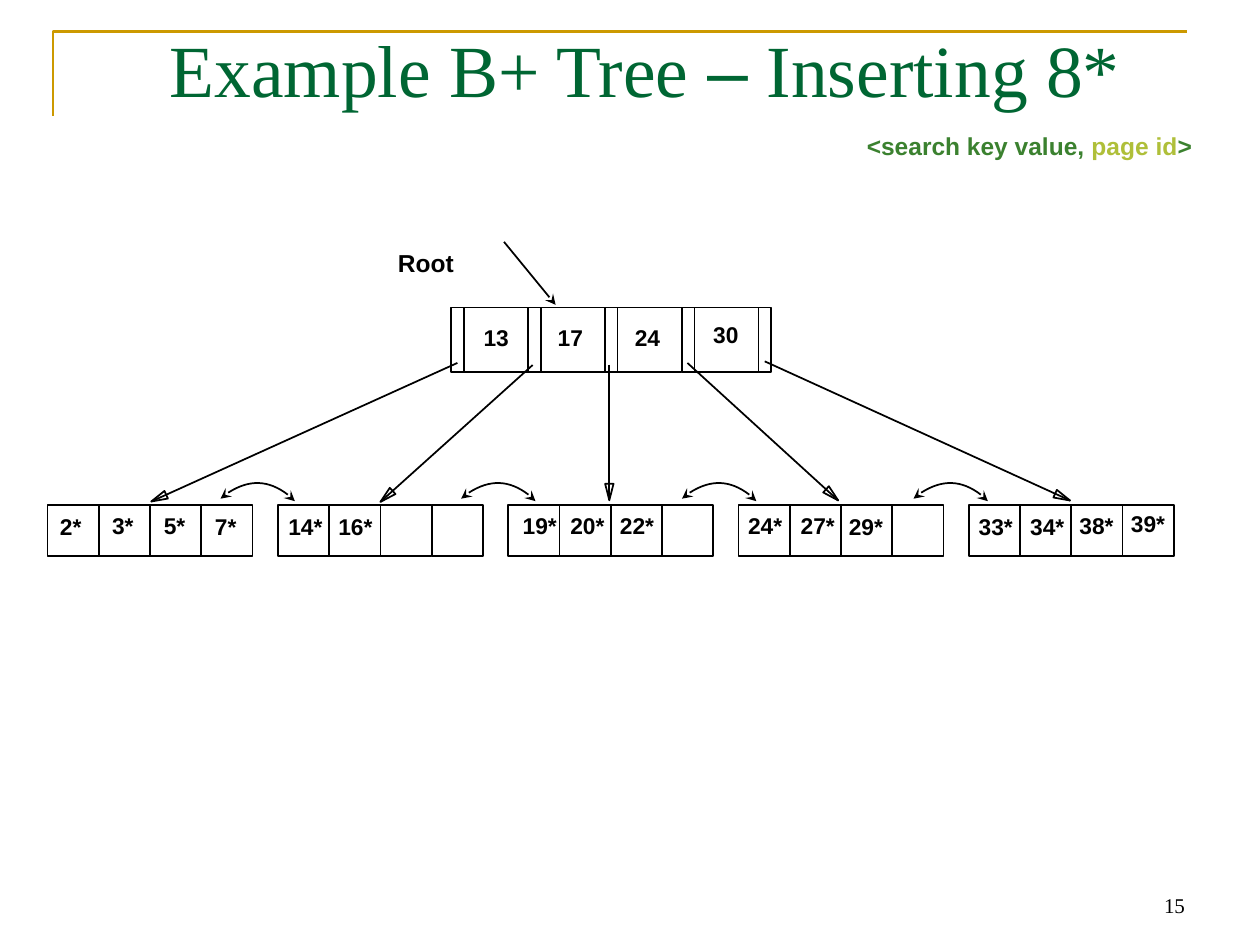
import math
from lxml import etree
from pptx import Presentation
from pptx import util as u
from pptx.dml import color
from pptx.enum import shapes, text
from pptx.oxml import ns

Pt = u.Pt
HUE = {"gold": "CC9900", "title": "006633", "key": "3B812F",
       "page": "AFBF39", "ink": "000000"}

deck = Presentation()
deck.slide_width, deck.slide_height = Pt(720), Pt(540)
slide = deck.slides.add_slide(deck.slide_layouts[6])
items = slide.shapes


def style(shape, hue="ink", width=1, heads=()):
    """Set a plain outline without shadow; heads names headEnd or tailEnd."""
    shape.line.color.rgb = color.RGBColor.from_string(HUE[hue])
    shape.line.width = Pt(width)
    if hasattr(shape, "fill"):
        shape.fill.background()
        shape.shadow.inherit = False
    else:
        etree.SubElement(shape._element.spPr, ns.qn("a:effectLst"))
    for head in heads:
        etree.SubElement(shape.line._get_or_add_ln(), ns.qn("a:" + head),
                         type="stealth")
    return shape


def label(box, runs, size, font="Arial", bold=True, wrap=False,
          align=text.PP_ALIGN.LEFT, anchor=text.MSO_ANCHOR.TOP):
    """Write one line of (words, colour, font) runs."""
    frame = items.add_textbox(*map(Pt, box)).text_frame
    frame.word_wrap = wrap
    frame.vertical_anchor = anchor
    para = frame.paragraphs[0]
    para.alignment = align
    para.font.size, para.font.bold, para.font.name = Pt(size), bold, font
    for words, hue, *face in runs:
        run = para.add_run()
        run.text = words
        run.font.color.rgb = color.RGBColor.from_string(HUE[hue])
        if face:
            run.font.name = face[0]


# Corner rule and title
rule = items.build_freeform(Pt(30.24), Pt(66.24))
rule.add_line_segments([(Pt(30.24), Pt(18)), (Pt(678.24), Pt(18))], close=False)
style(rule.convert_to_shape(), "gold", 1.5)
label((90, 18, 612, 42),
      [("Example B+ Tree ", "title"), ("–", "title", "Arial"),
       (" Inserting 8*", "title")],
      42, "Times New Roman", bold=False, wrap=True, anchor=text.MSO_ANCHOR.MIDDLE)

# Root node: four keys, each with a pointer slot on its left, and a last slot
LEFT, TOP, STEP, TALL, SLOT = 257.76, 175.68, 43.92, 36.72, 7.3
for col in range(5):
    x = LEFT + col * STEP
    wide = STEP if col < 4 else SLOT
    style(items.add_shape(shapes.MSO_SHAPE.RECTANGLE,
                          Pt(x), Pt(TOP), Pt(wide), Pt(TALL)))
    if col < 4:
        style(items.add_connector(shapes.MSO_CONNECTOR.STRAIGHT, Pt(x + SLOT),
                                  Pt(TOP), Pt(x + SLOT), Pt(TOP + TALL)))

# Leaf nodes: five pages of four cells
CELL = 29.3
for leaf in range(5):
    for col in range(4):
        style(items.add_shape(shapes.MSO_SHAPE.RECTANGLE,
                              Pt(27.2 + leaf * 131.6 + col * CELL), Pt(288.5),
                              Pt(CELL), Pt(CELL)))

# Pointers from root to leaves, with open triangle heads
links = [(261.4, 207.4, 86.4, 286.6), (304.4, 208.6, 217.4, 286.8),
         (348.2, 208.4, 348.2, 285.9), (392.8, 207.4, 479, 286),
         (437, 206.5, 611.5, 286)]
for x1, y1, x2, y2 in links:
    style(items.add_connector(shapes.MSO_CONNECTOR.STRAIGHT,
                              Pt(x1), Pt(y1), Pt(x2), Pt(y2)))
    span = math.hypot(x2 - x1, y2 - y1)
    dx, dy = (x2 - x1) / span, (y2 - y1) / span
    bx, by = x2 - 9.4 * dx, y2 - 9.4 * dy
    tip = items.build_freeform(Pt(x2), Pt(y2))
    tip.add_line_segments([(Pt(bx - s * dy), Pt(by + s * dx))
                           for s in (2.4, -2.4)])
    style(tip.convert_to_shape())

# Root label and its arrow
label((220.3, 138.2, 46.8, 23.8), [("Root", "ink")], 14)
style(items.add_connector(shapes.MSO_CONNECTOR.STRAIGHT,
                          Pt(288), Pt(138.2), Pt(317.5), Pt(174.2)),
      heads=["tailEnd"])

# Keys and data entries: words, left, top
keys = [("13", 269.3, 181.4), ("17", 311.6, 181.4), ("24", 355.7, 181.4),
        ("30", 400.5, 180),
        ("2*", 27.2, 289.7), ("3*", 57, 288.6), ("5*", 86.5, 288.6),
        ("7*", 115.8, 289.7),
        ("14*", 157.7, 289.7), ("16*", 186.3, 289.7),
        ("19*", 291.6, 288.6), ("20*", 318.8, 288.6), ("22*", 347.2, 288.6),
        ("24*", 420.4, 288.6), ("27*", 450.5, 288.6), ("29*", 478, 289.4),
        ("33*", 552.2, 289.4), ("34*", 581.6, 289.4), ("38*", 609.8, 288.6),
        ("39*", 639.2, 287.6)]
for words, x, y in keys:
    wide = 33.8 if len(words) == 3 else 26.6 if "*" in words else 28.8
    label((x, y, wide, 23), [(words, "ink")], 13)

# Curved double arrows between neighbouring leaves
for x in (126, 263.5, 389.7, 522):
    arc = items.build_freeform(Pt(x), Pt(285))
    arc.add_line_segments([(Pt(x + dx), Pt(285 + dy)) for dx, dy in
                           ((12.2, -11.5), (31.7, -10.8), (42.5, 1.4))],
                          close=False)
    curve = style(arc.convert_to_shape(), heads=["headEnd", "tailEnd"])
    steps = list(curve._element.iter(ns.qn("a:lnTo")))
    bend = etree.SubElement(steps[0].getparent(), ns.qn("a:cubicBezTo"))
    for step in steps:
        bend.append(step[0])
        step.getparent().remove(step)

# Entry format and page number
label((488.2, 71.3, 200.2, 24.5),
      [("<search key value, ", "key"), ("page id", "page"), (">", "key")], 14)
label((516.2, 491.8, 168, 36), [("15", "ink")], 12, "Times New Roman",
      bold=False, wrap=True, align=text.PP_ALIGN.RIGHT,
      anchor=text.MSO_ANCHOR.BOTTOM)

deck.save("out.pptx")
